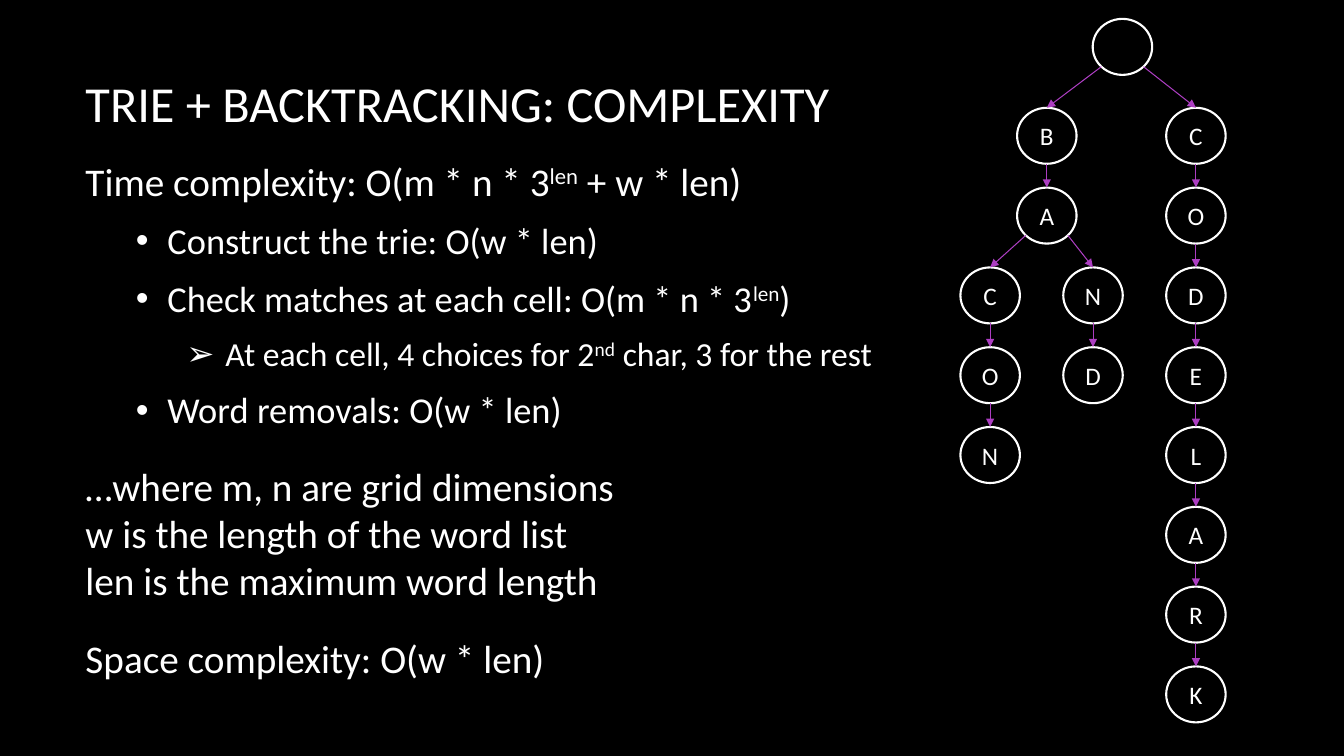
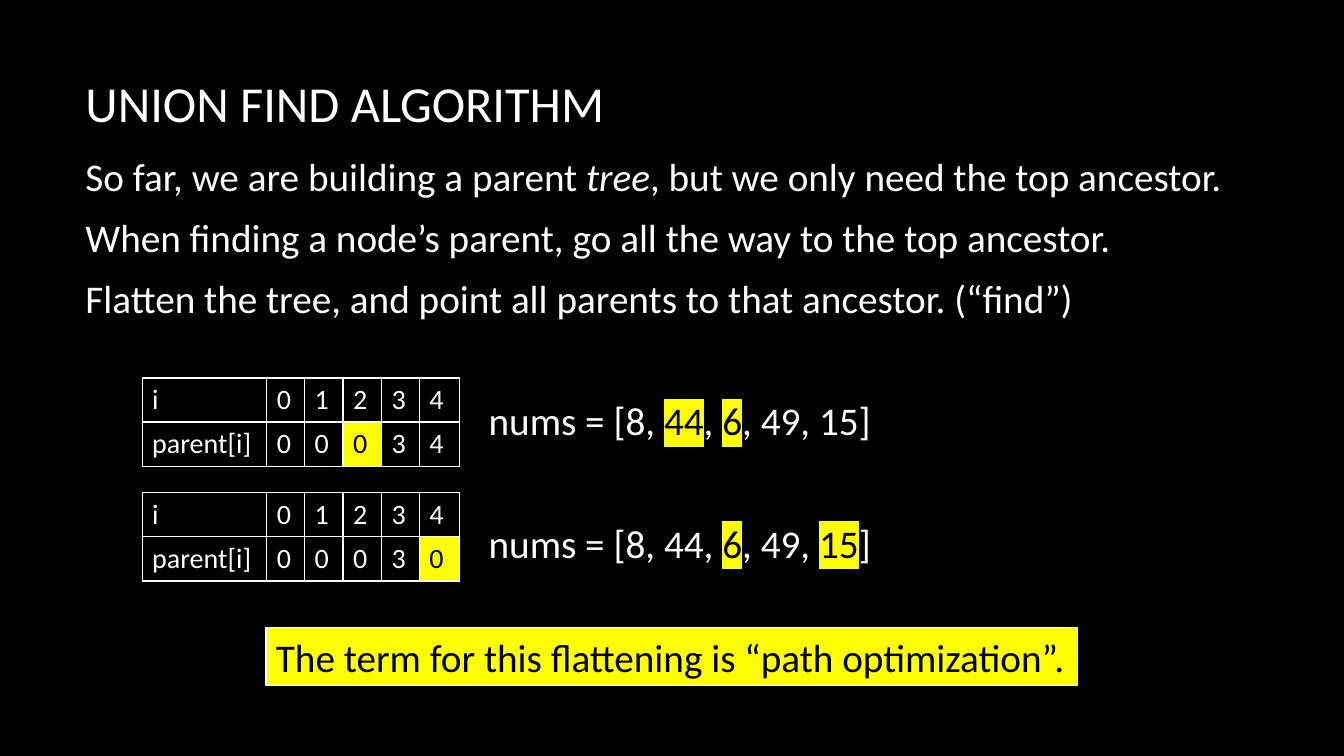
"""Build two dark slides on trie complexity and the union find algorithm."""
from dataclasses import dataclass
from itertools import pairwise
from typing import NamedTuple

from lxml.etree import SubElement as Sub
from pptx import Presentation
from pptx.dml.color import RGBColor
from pptx.enum.shapes import MSO_CONNECTOR as Wire, MSO_SHAPE as Form
from pptx.enum.text import MSO_ANCHOR as Anchor, PP_ALIGN as Align
from pptx.oxml.ns import qn
from pptx.slide import Slide
from pptx.text.text import TextFrame as Frame, _Paragraph as Par
from pptx.util import Pt

BLACK = RGBColor(0x00, 0x00, 0x00)
WHITE = RGBColor(0xFF, 0xFF, 0xFF)
YELLOW = RGBColor(0xFF, 0xFF, 0x00)
PURPLE = RGBColor(0xAC, 0x3E, 0xC1)
FONT = "Calibri"
LEFT = 54
NODE_W, NODE_H = 42.5, 40
TREE_TOP, STEP = 77, 57
DIAG = (1 - 0.5 ** 0.5) / 2
WIDTHS = (89, 27, 27.5, 27.5, 27, 28.5)
ROW_H = 31.5


class Bit(NamedTuple):
    text: str
    sup: bool = False
    slant: bool = False
    mark: bool = False


class Line(NamedTuple):
    bits: tuple[Bit, ...]
    size: float = 28
    left: float = 0
    hang: float = 0
    bullet: str = ""
    before: float = 0


class Grid(NamedTuple):
    top: float
    roots: str
    mark: int


@dataclass
class Node:
    x: float
    y: float
    text: str = ""

    @property
    def mid(self) -> float:
        return self.x + NODE_W / 2


def say(par: Par, text: str, *, size: float = 28, color: RGBColor = WHITE,
        sup: bool = False, slant: bool = False, mark: bool = False) -> None:
    for i, part in enumerate(text.split("\n")):
        if i:
            par.add_line_break()
        run = par.add_run()
        run.text = part
        font = run.font
        font.name, font.size, font.italic = FONT, Pt(size), slant
        font.color.rgb = BLACK if mark else color
        props = run._r.get_or_add_rPr()
        if sup:
            props.set("baseline", "30000")
        if mark:
            glow = Sub(props, qn("a:highlight"))
            Sub(glow, qn("a:srgbClr"), val=str(YELLOW))
            props.find(qn("a:solidFill")).addnext(glow)


def add_box(slide: Slide, top: float, wide: float, high: float) -> Frame:
    frame = slide.shapes.add_textbox(Pt(LEFT), Pt(top), Pt(wide), Pt(high)).text_frame
    frame.word_wrap = True
    return frame


def add_page(deck, title: str) -> Slide:
    slide = deck.slides.add_slide(deck.slide_layouts[6])
    slide.background.fill.solid()
    slide.background.fill.fore_color.rgb = BLACK
    say(add_box(slide, 48, 798, 52).paragraphs[0], title, size=36)
    return slide


def add_body(slide: Slide, top: float, high: float, lines: list[Line]) -> None:
    frame = add_box(slide, top, 828, high)
    for i, line in enumerate(lines):
        par = frame.add_paragraph() if i else frame.paragraphs[0]
        par.space_before, par.space_after = Pt(line.before), Pt(10)
        props = par._p.get_or_add_pPr()
        props.set("marL", str(Pt(line.left)))
        props.set("indent", str(Pt(-line.hang)))
        if line.bullet:
            Sub(Sub(props, qn("a:buClr")), qn("a:srgbClr"), val=str(WHITE))
            Sub(props, qn("a:buFont"), typeface="Arial")
            Sub(props, qn("a:buChar"), char=line.bullet)
        for bit in line.bits:
            say(par, size=line.size, **bit._asdict())


def add_node(slide: Slide, node: Node) -> None:
    disc = slide.shapes.add_shape(Form.FLOWCHART_CONNECTOR, Pt(node.x), Pt(node.y),
                                  Pt(NODE_W), Pt(NODE_H))
    disc.shadow.inherit = False
    disc.fill.background()
    disc.line.color.rgb, disc.line.width = WHITE, Pt(1.5)
    if node.text:
        frame = disc.text_frame
        frame.margin_left = frame.margin_right = 0
        frame.vertical_anchor = Anchor.MIDDLE
        frame.paragraphs[0].alignment = Align.CENTER
        say(frame.paragraphs[0], node.text, size=18)


def add_link(slide: Slide, top: Node, low: Node) -> None:
    x, y = top.mid, top.y + NODE_H
    if low.x != top.x:
        x = top.x + NODE_W * (DIAG if low.x < top.x else 1 - DIAG)
        y -= NODE_H * DIAG
    link = slide.shapes.add_connector(Wire.STRAIGHT, Pt(x), Pt(y), Pt(low.mid), Pt(low.y))
    link.line.color.rgb, link.line.width = PURPLE, Pt(0.75)
    Sub(link.line._get_or_add_ln(), qn("a:tailEnd"), type="triangle")
    Sub(link.element.spPr, qn("a:effectLst"))


def add_chain(slide: Slide, top: Node, x: float, row: int, word: str) -> Node:
    chain = [Node(x, TREE_TOP + (row + i) * STEP, c) for i, c in enumerate(word)]
    for node in chain:
        add_node(slide, node)
    for pair in pairwise([top, *chain]):
        add_link(slide, *pair)
    return chain[-1]


def add_grid(slide: Slide, grid: Grid) -> None:
    rows = (["i", *"01234"], ["parent[i]", *grid.roots])
    table = slide.shapes.add_table(2, len(WIDTHS), Pt(101.5), Pt(grid.top),
                                   Pt(sum(WIDTHS)), Pt(2 * ROW_H)).table
    table.first_row = table.horz_banding = False
    for col, wide in zip(table.columns, WIDTHS):
        col.width = Pt(wide)
    for r, row in enumerate(rows):
        table.rows[r].height = Pt(ROW_H)
        for c, text in enumerate(row):
            cell = table.cell(r, c)
            props = cell._tc.get_or_add_tcPr()
            for side in "LRTB":
                edge = Sub(props, qn(f"a:ln{side}"), w=str(Pt(1)))
                Sub(Sub(edge, qn("a:solidFill")), qn("a:srgbClr"), val=str(WHITE))
            lit = r == 1 and c == grid.mark
            cell.fill.solid()
            cell.fill.fore_color.rgb = YELLOW if lit else BLACK
            say(cell.text_frame.paragraphs[0], text, size=20, color=BLACK if lit else WHITE)


def add_note(slide: Slide, text: str) -> None:
    bar = slide.shapes.add_shape(Form.RECTANGLE, Pt(190), Pt(448.5), Pt(580), Pt(41))
    bar.shadow.inherit = False
    bar.fill.solid()
    bar.fill.fore_color.rgb = YELLOW
    bar.line.color.rgb, bar.line.width = WHITE, Pt(0.75)
    par = bar.text_frame.paragraphs[0]
    par.alignment = Align.LEFT
    say(par, text, color=BLACK)


def point(*bits: Bit) -> Line:
    return Line(bits, size=26, left=58.5, hang=22.5, bullet="•")


def nums(*bits: Bit) -> Line:
    return Line((Bit("nums = [8, "), *bits), left=288, before=44)


def draw_trie(deck) -> None:
    slide = add_page(deck, "TRIE + BACKTRACKING: COMPLEXITY")
    power = Bit("len", sup=True)
    add_body(slide, 108.5, 394, [
        Line((Bit("Time complexity: O(m * n * 3"), power, Bit(" + w * len)"))),
        point(Bit("Construct the trie: O(w * len)")),
        point(Bit("Check matches at each cell: O(m * n * 3"), power, Bit(")")),
        Line((Bit("At each cell, 4 choices for 2"), Bit("nd", sup=True),
              Bit(" char, 3 for the rest")), size=24, left=100, hang=28, bullet="➢"),
        point(Bit("Word removals: O(w * len)")),
        Line((Bit("…where m, n are grid dimensions\nw is the length of the word list\n"
                  "len is the maximum word length"),), before=12),
        Line((Bit("Space complexity: O(w * len)"),), before=12),
    ])
    root = Node(780.5, 13.5)
    add_node(slide, root)
    fork = add_chain(slide, root, 726.5, 0, "BA")
    add_chain(slide, root, 833, 0, "CODELARK")
    add_chain(slide, fork, 686, 2, "CON")
    add_chain(slide, fork, 759.5, 2, "ND")


def draw_union(deck) -> None:
    slide = add_page(deck, "UNION FIND ALGORITHM")
    six = Bit("6", mark=True)
    add_body(slide, 105, 430, [
        Line((Bit("So far, we are building a parent "), Bit("tree", slant=True),
              Bit(", but we only need the top ancestor."))),
        Line((Bit("When finding a node’s parent, go all the way to the top ancestor."),)),
        Line((Bit("Flatten the tree, and point all parents to that ancestor. (“find”)"),)),
        nums(Bit("44", mark=True), Bit(", "), six, Bit(", 49, 15]")),
        nums(Bit("44, "), six, Bit(", 49, "), Bit("15", mark=True), Bit("]")),
    ])
    for grid in (Grid(270, "00034", 3), Grid(352, "00030", 5)):
        add_grid(slide, grid)
    add_note(slide, "The term for this flattening is “path optimization”.")


def main() -> None:
    deck = Presentation()
    deck.slide_width, deck.slide_height = Pt(960), Pt(540)
    draw_trie(deck)
    draw_union(deck)
    deck.save("out.pptx")


if __name__ == "__main__":
    main()
